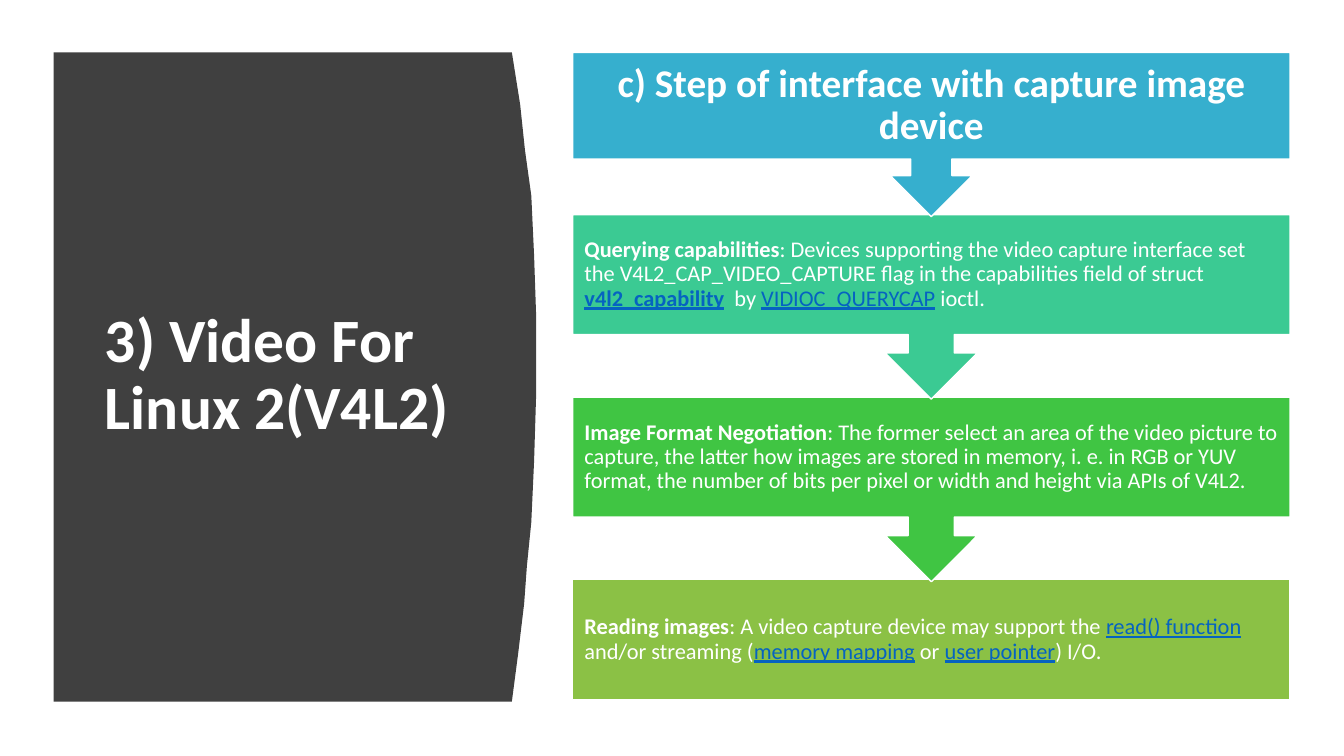
from dataclasses import dataclass

import pptx
import pptx.dml.color
import pptx.enum.shapes
import pptx.enum.text
import pptx.util

Cm = pptx.util.Cm
SHAPE = pptx.enum.shapes.MSO_SHAPE
ALIGN = pptx.enum.text.PP_ALIGN

WHITE, LINK, PANEL = "FFFFFF", "0563C1", "404040"
STEP_LEFT, STEP_WIDTH, FIRST_TOP, OVERLAP = 14.43, 18.08, 1.32, 0.05
PANEL_LEFT = 1.35
PANEL_EDGE = [
    (12.9, 1.32), (13.11, 2.64), (13.23, 3.78), (13.39, 4.93), (13.46, 6.43),
    (13.51, 7.9), (13.51, 10.01), (13.46, 11.63), (13.39, 13.16),
    (13.28, 14.25), (13.21, 15.21), (13.06, 16.46), (12.9, 17.68),
]


@dataclass
class Span:
    text: str
    bold: bool = False
    link: bool = False


@dataclass
class Step:
    fill: str
    height: float
    spans: list[Span]
    size: int = 16
    inset: float = 0.3
    align: ALIGN = ALIGN.LEFT
    kind: SHAPE = SHAPE.DOWN_ARROW_CALLOUT


STEPS = [
    Step("36AFCE", 4.14, [Span("c) Step of interface with capture image device", bold=True)],
         size=28, inset=0.56, align=ALIGN.CENTER),
    Step("3BCA93", 4.65, [
        Span("Querying capabilities", bold=True),
        Span(": Devices supporting the video capture interface set the "
             "V4L2_CAP_VIDEO_CAPTURE flag in the capabilities field of struct "),
        Span("v4l2_capability", bold=True, link=True),
        Span("  by "),
        Span("VIDIOC_QUERYCAP", link=True),
        Span(" ioctl."),
    ]),
    Step("40C543", 4.65, [
        Span("Image Format Negotiation", bold=True),
        Span(": The former select an area of the video picture to capture, the latter "
             "how images are stored in memory, i. e. in RGB or YUV format, the number of "
             "bits per pixel or width and height via APIs of V4L2."),
    ]),
    Step("8BC145", 3.02, [
        Span("Reading images", bold=True),
        Span(": A video capture device may support the "),
        Span("read() function", link=True),
        Span(" and/or streaming ("),
        Span("memory mapping", link=True),
        Span(" or "),
        Span("user pointer", link=True),
        Span(") I/O."),
    ], kind=SHAPE.RECTANGLE),
]


def color(code: str) -> pptx.dml.color.RGBColor:
    return pptx.dml.color.RGBColor.from_string(code)


def paint(shape, code: str) -> None:
    shape.shadow.inherit = False
    shape.fill.solid()
    shape.fill.fore_color.rgb = color(code)


def format_font(font, size: int, code: str, bold: bool) -> None:
    font.name = "Calibri"
    font.size = pptx.util.Pt(size)
    font.bold = bold
    font.color.rgb = color(code)


def draw_panel(page) -> None:
    top, bottom = PANEL_EDGE[0][1], PANEL_EDGE[-1][1]
    builder = page.shapes.build_freeform(Cm(PANEL_LEFT), Cm(top))
    corners = PANEL_EDGE + [(PANEL_LEFT, bottom)]
    builder.add_line_segments([(Cm(x), Cm(y)) for x, y in corners], close=True)
    panel = builder.convert_to_shape()
    paint(panel, PANEL)
    panel.line.fill.background()


def place_title(page, text: str) -> None:
    title = page.shapes.title
    title.left, title.top, title.width, title.height = Cm(2.39), Cm(2.82), Cm(9.5), Cm(13.31)
    frame = title.text_frame
    frame.text = text
    frame.vertical_anchor = pptx.enum.text.MSO_ANCHOR.MIDDLE
    para = frame.paragraphs[0]
    para.alignment = ALIGN.LEFT
    para.line_spacing = 0.9
    format_font(para.runs[0].font, 44, WHITE, True)
    # Bring the title in front of the panel
    title.element.getparent().append(title.element)


def draw_step(page, step: Step, top: float) -> None:
    box = page.shapes.add_shape(step.kind, Cm(STEP_LEFT), Cm(top),
                                Cm(STEP_WIDTH), Cm(step.height))
    paint(box, step.fill)
    box.line.color.rgb = color(WHITE)
    box.line.width = pptx.util.Pt(1)
    frame = box.text_frame
    frame.word_wrap = True
    frame.vertical_anchor = pptx.enum.text.MSO_ANCHOR.MIDDLE
    frame.margin_left = frame.margin_right = Cm(step.inset)
    frame.margin_top = frame.margin_bottom = Cm(0.1)
    para = frame.paragraphs[0]
    para.alignment = step.align
    para.line_spacing = 0.9
    for span in step.spans:
        run = para.add_run()
        run.text = span.text
        format_font(run.font, step.size, LINK if span.link else WHITE, span.bold)
        run.font.underline = span.link


def main() -> None:
    deck = pptx.Presentation()
    deck.slide_width, deck.slide_height = Cm(33.87), Cm(19.05)
    page = deck.slides.add_slide(deck.slide_layouts[5])

    # Left panel with the title
    draw_panel(page)
    place_title(page, "3) Video For Linux 2(V4L2)")

    # Steps, last one first so each arrow tip lies over the next box
    tops = [FIRST_TOP]
    for step in STEPS[:-1]:
        tops.append(tops[-1] + step.height - OVERLAP)
    for step, top in reversed(list(zip(STEPS, tops))):
        draw_step(page, step, top)

    deck.save("out.pptx")


if __name__ == "__main__":
    main()
